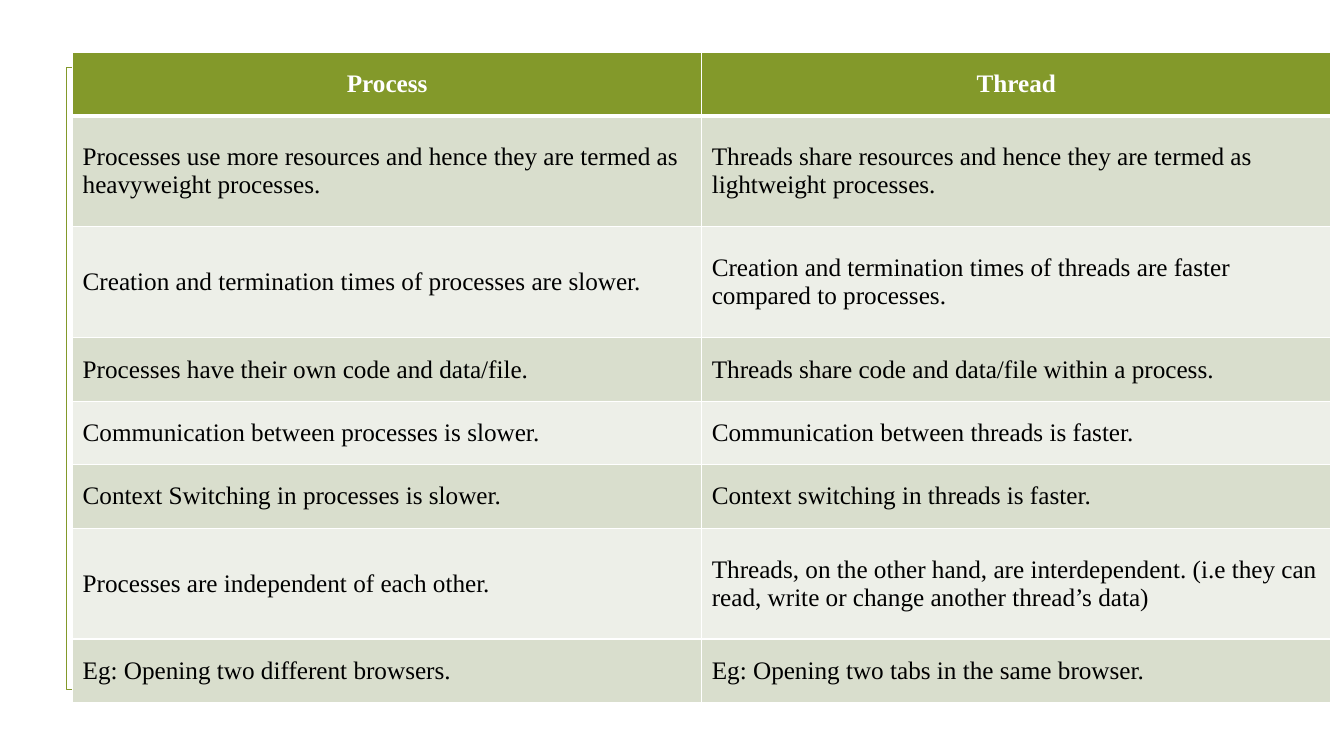
from lxml import etree
from pptx import Presentation
from pptx.dml.color import RGBColor
from pptx.enum.shapes import MSO_SHAPE
from pptx.enum.text import MSO_ANCHOR, PP_ALIGN
from pptx.oxml.ns import qn
from pptx.util import Inches, Pt

RECTANGLE = MSO_SHAPE.RECTANGLE
MIDDLE = MSO_ANCHOR.MIDDLE
CENTER, LEFT = PP_ALIGN.CENTER, PP_ALIGN.LEFT

FONT = "Times New Roman"
COLORS = {
    "green": "83992A",
    "band_dark": "D9DECD",
    "band_light": "EDEFE8",
    "white": "FFFFFF",
    "black": "000000",
}
COLUMN_WIDTH = 6.24
SHORT_ROW, TALL_ROW = 0.63, 1.1

COMPARISON = [
    (SHORT_ROW, "Process", "Thread"),
    (TALL_ROW,
     "Processes use more resources and hence they are termed as heavyweight processes.",
     "Threads share resources and hence they are termed as lightweight processes."),
    (TALL_ROW,
     "Creation and termination times of processes are slower.",
     "Creation and termination times of threads are faster compared to processes."),
    (SHORT_ROW,
     "Processes have their own code and data/file.",
     "Threads share code and data/file within a process."),
    (SHORT_ROW,
     "Communication between processes is slower.",
     "Communication between threads is faster."),
    (SHORT_ROW,
     "Context Switching in processes is slower.",
     "Context switching in threads is faster."),
    (TALL_ROW,
     "Processes are independent of each other.",
     "Threads, on the other hand, are interdependent. (i.e they can read, "
     "write or change another thread’s data)"),
    (SHORT_ROW,
     "Eg: Opening two different browsers.",
     "Eg: Opening two tabs in the same browser."),
]


def rgb(name):
    return RGBColor.from_string(COLORS[name])


def add_frame(slide, left, top, width, height):
    frame = slide.shapes.add_shape(
        RECTANGLE, Inches(left), Inches(top), Inches(width), Inches(height))
    frame.shadow.inherit = False
    frame.fill.background()
    frame.line.color.rgb = rgb("green")
    frame.line.width = Pt(1.25)


def set_borders(cell, top_width, bottom_width):
    """Draw white cell borders; side borders are 1 pt, widths are in points."""
    properties = cell._tc.get_or_add_tcPr()
    widths = {"lnL": 1, "lnR": 1, "lnT": top_width, "lnB": bottom_width}
    for tag, width in widths.items():
        border = etree.SubElement(properties, qn(f"a:{tag}"), w=str(Pt(width)))
        fill = etree.SubElement(border, qn("a:solidFill"))
        etree.SubElement(fill, qn("a:srgbClr"), val=COLORS["white"])


def format_cell(cell, text, row_index):
    is_header = row_index == 0
    set_borders(cell, 3 if row_index == 1 else 1, 3 if is_header else 1)
    band = "band_dark" if row_index % 2 else "band_light"
    cell.fill.solid()
    cell.fill.fore_color.rgb = rgb("green" if is_header else band)
    cell.vertical_anchor = MIDDLE
    cell.text_frame.text = text
    paragraph = cell.text_frame.paragraphs[0]
    paragraph.alignment = CENTER if is_header else LEFT
    font = paragraph.runs[0].font
    font.name = FONT
    font.size = Pt(18)
    font.bold = is_header
    font.color.rgb = rgb("white" if is_header else "black")


def add_comparison_table(slide, left, top):
    height = sum(row[0] for row in COMPARISON)
    table = slide.shapes.add_table(
        len(COMPARISON), 2, Inches(left), Inches(top),
        Inches(2 * COLUMN_WIDTH), Inches(height)).table
    for column in table.columns:
        column.width = Inches(COLUMN_WIDTH)
    for row_index, (row_height, *texts) in enumerate(COMPARISON):
        table.rows[row_index].height = Inches(row_height)
        for column_index, text in enumerate(texts):
            format_cell(table.cell(row_index, column_index), text, row_index)


def main():
    presentation = Presentation()
    presentation.slide_width = Inches(13.33)
    presentation.slide_height = Inches(7.5)
    slide = presentation.slides.add_slide(presentation.slide_layouts[6])
    add_frame(slide, 0.66, 0.67, 12, 6.17)
    add_comparison_table(slide, 0.72, 0.52)
    presentation.save("out.pptx")


if __name__ == "__main__":
    main()
